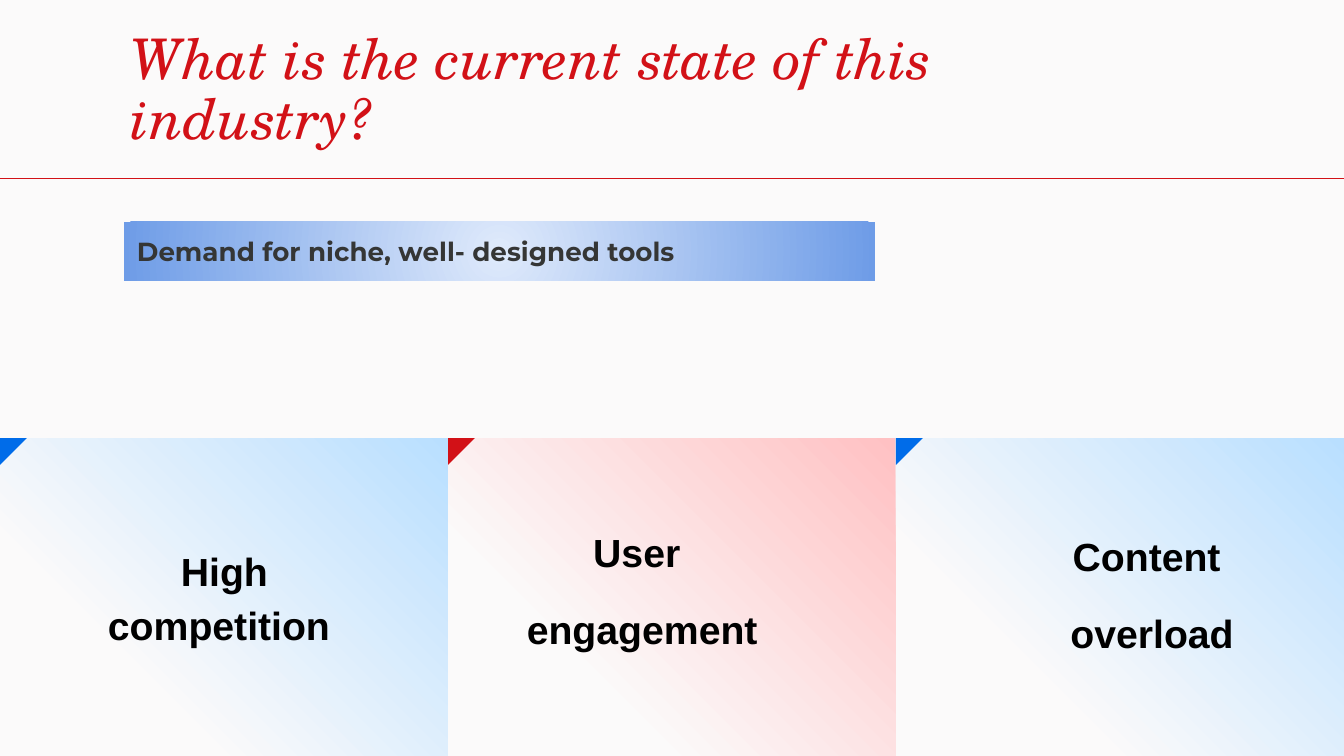
from lxml import etree
from pptx import Presentation
from pptx.dml.color import RGBColor
from pptx.enum.shapes import MSO_CONNECTOR, MSO_SHAPE
from pptx.enum.text import MSO_ANCHOR, PP_ALIGN
from pptx.oxml import parse_xml
from pptx.oxml.ns import nsdecls, qn
from pptx.util import Inches, Pt

PAPER, RED, BLUE = "FBFAFA", "D21117", "006CE9"
PALE_RED, PALE_BLUE = "FFC1C3", "B9DFFF"
WIDTH = 10
HEIGHT = WIDTH * 9 / 16


def rgb(color):
    return RGBColor.from_string(color)


def inches(*values):
    return [Inches(v) for v in values]


def set_font(p, name, size, color, bold=False, italic=False):
    for r in p.runs:
        f = r.font
        f.name, f.size, f.bold, f.italic = name, Pt(size), bold, italic
        f.color.rgb = rgb(color)


def set_frame(tf, margin, anchor=MSO_ANCHOR.TOP):
    tf.word_wrap = True
    tf.vertical_anchor = anchor
    tf.margin_left = tf.margin_right = Inches(margin)
    tf.margin_top = tf.margin_bottom = Inches(margin)


def add_plain(shapes, kind, box):
    sp = shapes.add_shape(kind, *inches(*box))
    sp.shadow.inherit = False
    sp.line.fill.background()
    return sp


def fill_radial(sp, stops, focus):
    """Fill with (percent, colour) stops spreading from the focus (l, t, r, b in percent)."""
    gs = "".join(f'<a:gs pos="{pos * 1000}"><a:srgbClr val="{color}"/></a:gs>'
                 for pos, color in stops)
    edges = " ".join(f'{side}="{v * 1000}"' for side, v in zip("ltrb", focus))
    grad = parse_xml(f'<a:gradFill {nsdecls("a")} rotWithShape="1"><a:gsLst>{gs}</a:gsLst>'
                     f'<a:path path="circle"><a:fillToRect {edges}/></a:path></a:gradFill>')
    sp._element.spPr.find(qn("a:prstGeom")).addnext(grad)


def add_heading(s, box, text):
    title = s.shapes.title
    title.left, title.top, title.width, title.height = inches(*box)
    tf = title.text_frame
    set_frame(tf, 0)
    tf.text = text
    p = tf.paragraphs[0]
    p.alignment, p.line_spacing = PP_ALIGN.LEFT, 0.9
    set_font(p, "TeX Gyre Schola", 30, RED, italic=True)


def add_rule(s, y):
    line = s.shapes.add_connector(MSO_CONNECTOR.STRAIGHT, *inches(0, y, WIDTH, y))
    line.line.color.rgb, line.line.width = rgb(RED), Pt(0.75)
    etree.SubElement(line._element.spPr, qn("a:effectLst"))


def add_banner(s, box, text):
    sp = add_plain(s.shapes, MSO_SHAPE.RECTANGLE, box)
    fill_radial(sp, [(0, "DFEAFB"), (100, "6E9CE7")], (50, 50, 50, 50))
    tf = sp.text_frame
    set_frame(tf, 0.1)
    tf.text = text
    tf.paragraphs[0].alignment = PP_ALIGN.LEFT
    set_font(tf.paragraphs[0], "Montserrat", 14, "353635", bold=True)


def add_panel(s, box, pale, accent):
    """Gradient panel with a coloured top-left corner."""
    shapes = s.shapes.add_group_shape().shapes
    x, y, _, _ = box
    panel = add_plain(shapes, MSO_SHAPE.RECTANGLE, box)
    panel._element.spPr.xfrm.set("flipH", "1")
    fill_radial(panel, [(0, pale), (72, PAPER), (100, PAPER)], (100, 0, 0, 100))
    corner = add_plain(shapes, MSO_SHAPE.RIGHT_TRIANGLE, (x, y, 0.2, 0.2))
    corner.rotation = 90
    corner.fill.solid()
    corner.fill.fore_color.rgb = rgb(accent)


def add_label(s, box, offset, size, margin, anchor, lines):
    """Centred label, offset from the panel's top left."""
    place = (box[0] + offset[0], box[1] + offset[1], *size)
    tf = s.shapes.add_textbox(*inches(*place)).text_frame
    set_frame(tf, margin, anchor)
    tf.text = "\n".join(lines)
    for i, p in enumerate(tf.paragraphs):
        p.alignment, p.line_spacing = PP_ALIGN.CENTER, 1.15
        p.space_before = Pt(12 if i else 0)
        set_font(p, "Arial", 21, "000000", bold=True)


def main():
    prs = Presentation()
    prs.slide_width, prs.slide_height = inches(WIDTH, HEIGHT)
    s = prs.slides.add_slide(prs.slide_layouts[5])
    s.background.fill.solid()
    s.background.fill.fore_color.rgb = rgb(PAPER)

    add_heading(s, (0.97, 0.23, 7.66, 0.45), "What is the current state of this industry?")
    add_rule(s, 1.33)
    add_banner(s, (0.92, 1.65, 5.59, 0.44), "Demand for niche, well- designed tools")

    top, middle = MSO_ANCHOR.TOP, MSO_ANCHOR.MIDDLE
    cards = [
        (PALE_BLUE, BLUE, (0.63, 0.76), (2.08, 0.76), 0, top, ["High competition "]),
        (PALE_RED, RED, (-1.21, 0.54), (5.31, 1.13), 0.1, middle, ["User ", "engagement"]),
        (PALE_BLUE, BLUE, (0.26, 0.55), (3.29, 1.13), 0.1, top, ["Content ", "overload"]),
    ]
    card_top, card_width = 3.26, WIDTH / len(cards)
    boxes = [(i * card_width, card_top, card_width, HEIGHT - card_top)
             for i in range(len(cards))]
    for box, (pale, accent, *_) in zip(boxes, cards):
        add_panel(s, box, pale, accent)
    for box, (_, _, *label) in zip(boxes, cards):
        add_label(s, box, *label)
    prs.save("out.pptx")


if __name__ == "__main__":
    main()
